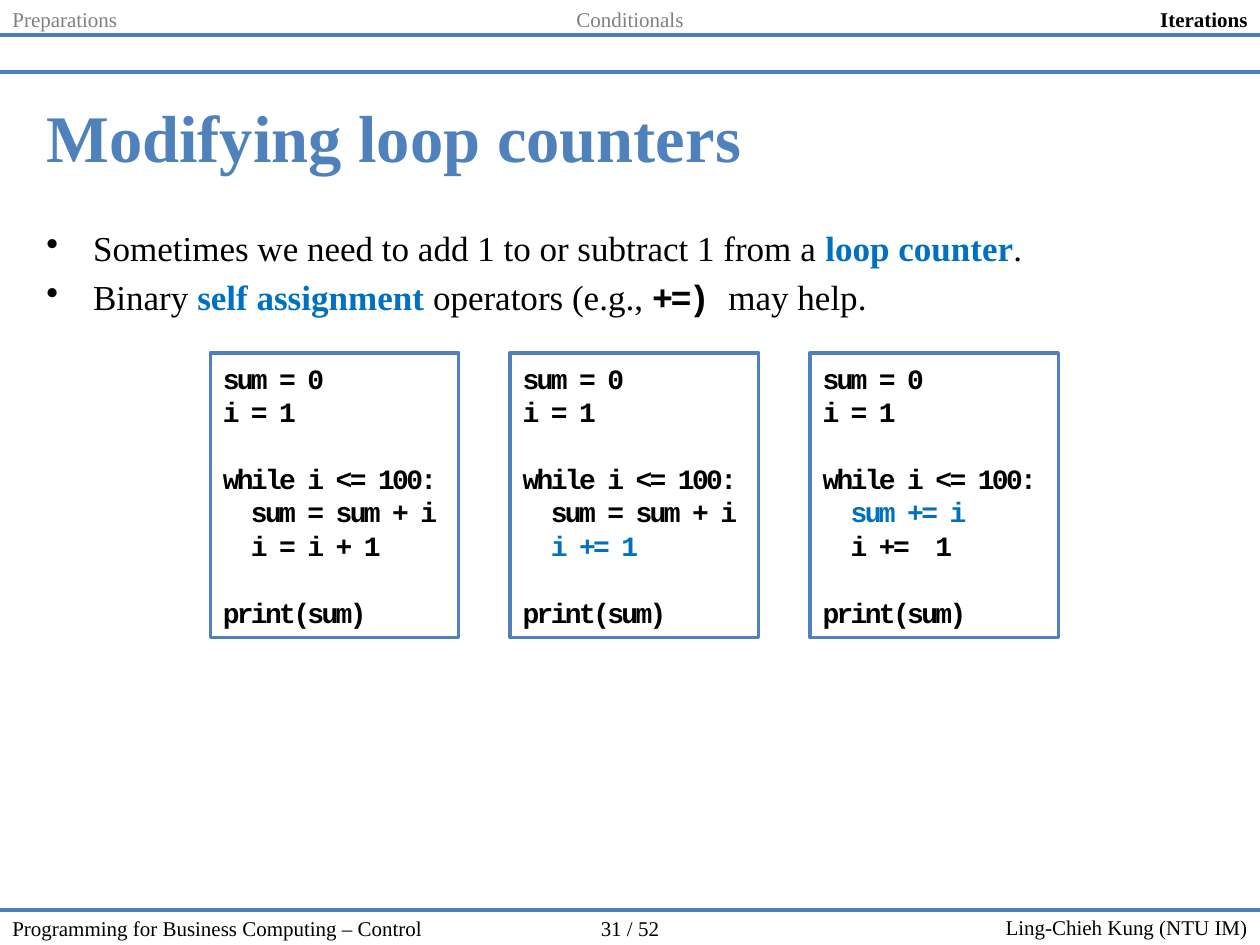
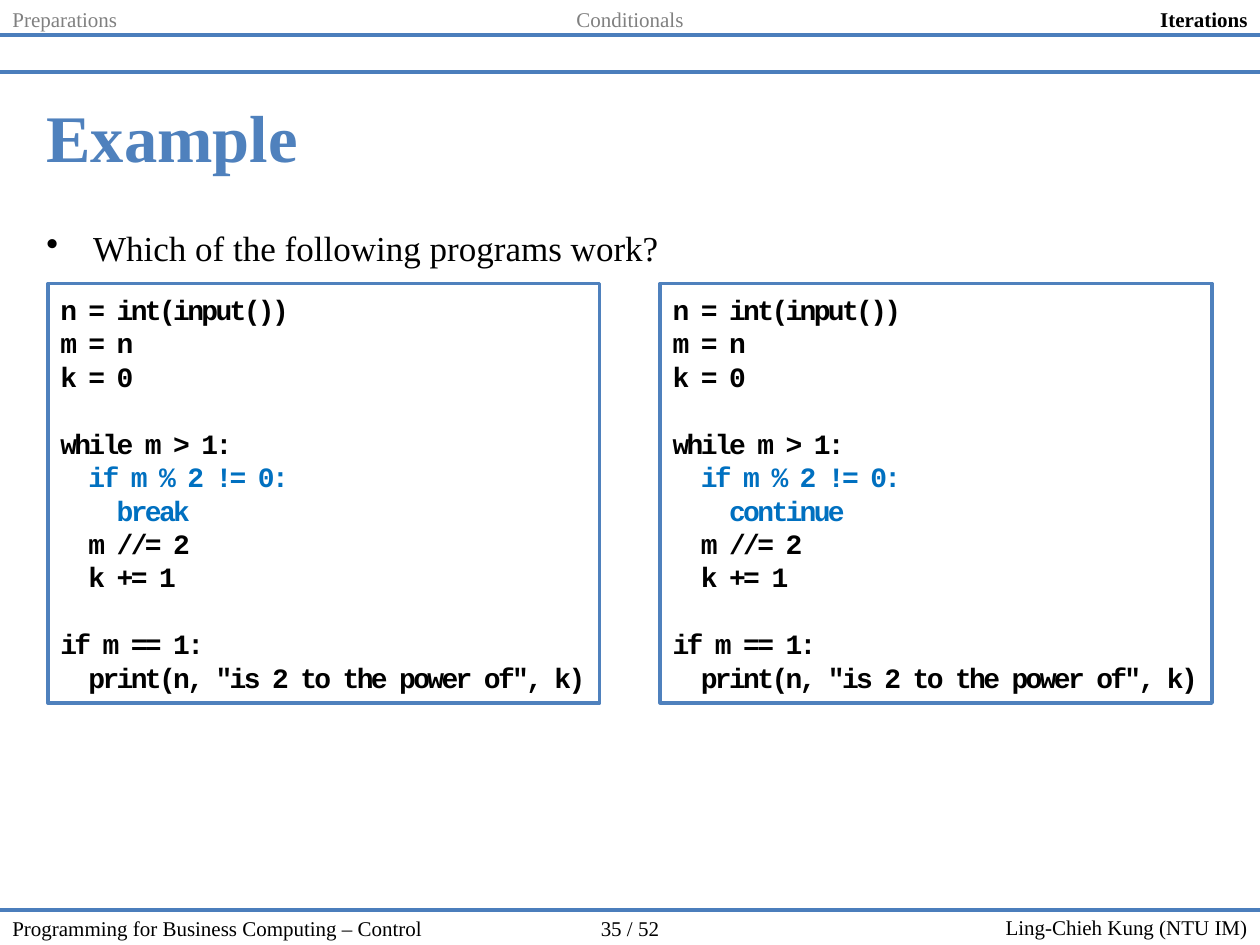
from pptx import Presentation
from pptx.dml.color import RGBColor
from pptx.enum.shapes import MSO_CONNECTOR, MSO_SHAPE
from pptx.enum.text import MSO_ANCHOR, PP_ALIGN
from pptx.oxml.xmlchemy import OxmlElement
from pptx.util import Inches, Pt

WIDTH, HEIGHT = 10, 7.5
SERIF, MONO = "Times New Roman", "Courier New"
BLACK, GRAY, WHITE = "000000", "808080", "FFFFFF"
TITLE_BLUE, RULE_BLUE, KEY_BLUE = "4F81BD", "4B7EBC", "0070C0"
BAND = 0.28
FOOTER_TOP = HEIGHT - BAND
CODE_LINE = 19.1
INDENT = 0.37
SECTIONS = ["Preparations", "Conditionals", "Iterations"]
COLUMN_ALIGNS = [PP_ALIGN.LEFT, PP_ALIGN.CENTER, PP_ALIGN.RIGHT]
KEY = {"color": KEY_BLUE, "bold": True}
CODE = {"font": MONO, "bold": True, "spacing": -1.5}


def rgb(color):
    return RGBColor.from_string(color)


def add_run(paragraph, text, size=12, font=SERIF, color=BLACK, bold=False, spacing=0):
    """Append a formatted run; spacing is the letter spacing in points."""
    run = paragraph.add_run()
    run.text = text
    run.font.size = Pt(size)
    run.font.name = font
    run.font.bold = bold
    run.font.color.rgb = rgb(color)
    if spacing:
        run._r.get_or_add_rPr().set("spc", str(int(spacing * 100)))


def add_text_box(slide, left, top, width, height, anchor=MSO_ANCHOR.TOP):
    """Add a wrapping text box and return its text frame."""
    box = slide.shapes.add_textbox(*map(Inches, (left, top, width, height)))
    frame = box.text_frame
    frame.word_wrap = True
    frame.vertical_anchor = anchor
    return frame


def add_label(slide, text, left, top, width, height=BAND, align=PP_ALIGN.LEFT,
              anchor=MSO_ANCHOR.TOP, **style):
    paragraph = add_text_box(slide, left, top, width, height, anchor).paragraphs[0]
    paragraph.alignment = align
    add_run(paragraph, text, **style)


def add_rule(slide, top):
    rule = slide.shapes.add_connector(
        MSO_CONNECTOR.STRAIGHT, 0, Inches(top), Inches(WIDTH), Inches(top))
    rule.line.color.rgb = rgb(RULE_BLUE)
    rule.line.width = Pt(2.25)
    rule._element.spPr.append(OxmlElement("a:effectLst"))


def add_header(slide, current):
    column = WIDTH / len(SECTIONS)
    for index, (section, align) in enumerate(zip(SECTIONS, COLUMN_ALIGNS)):
        active = section == current
        add_label(slide, section, index * column, 0, column, align=align,
                  color=BLACK if active else GRAY, bold=active)


def add_footer(slide, page):
    side, middle = 0.453 * WIDTH, 0.094 * WIDTH
    add_label(slide, "Programming for Business Computing – Control", 0, FOOTER_TOP, side)
    add_label(slide, f"{page} / 52", side, FOOTER_TOP, middle, align=PP_ALIGN.CENTER)
    add_label(slide, "Ling-Chieh Kung (NTU IM)", side + middle, FOOTER_TOP, side,
              align=PP_ALIGN.RIGHT, anchor=MSO_ANCHOR.MIDDLE)


def make_bullet(paragraph):
    properties = paragraph._p.get_or_add_pPr()
    properties.set("marL", str(Inches(INDENT)))
    properties.set("indent", str(-Inches(INDENT)))
    bullet = OxmlElement("a:buChar")
    bullet.set("char", "•")
    properties.append(bullet)


def add_bullets(slide, bullets):
    """Add the body; each bullet is a list of (text, style) runs."""
    frame = add_text_box(slide, 0.27, 1.75, 9.45, 4.36)
    for index, runs in enumerate(bullets):
        paragraph = frame.add_paragraph() if index else frame.paragraphs[0]
        make_bullet(paragraph)
        if index:
            paragraph.space_before = Pt(4)
        for text, style in runs:
            add_run(paragraph, text, size=20, **style)


def add_code_box(slide, code, key_lines, left, top, width, height):
    """Add a framed program; an empty code line becomes space before the next."""
    box = slide.shapes.add_shape(
        MSO_SHAPE.RECTANGLE, *map(Inches, (left, top, width, height)))
    box.shadow.inherit = False
    box.fill.solid()
    box.fill.fore_color.rgb = rgb(WHITE)
    box.line.color.rgb = rgb(TITLE_BLUE)
    box.line.width = Pt(2)
    frame = box.text_frame
    frame.word_wrap = False
    frame.vertical_anchor = MSO_ANCHOR.MIDDLE
    paragraph = frame.paragraphs[0]
    for index, block in enumerate(code.split("\n\n")):
        for row, line in enumerate(block.split("\n")):
            if index or row:
                paragraph = frame.add_paragraph()
            paragraph.alignment = PP_ALIGN.LEFT
            paragraph.line_spacing = Pt(CODE_LINE)
            if index and not row:
                paragraph.space_before = Pt(CODE_LINE)
            color = KEY_BLUE if line.strip() in key_lines else BLACK
            add_run(paragraph, line, size=16, color=color, **CODE)


def add_code_row(slide, programs, left, top, width, height, pitch):
    """Place (code, key lines) programs side by side, one every pitch inches."""
    for index, (code, key_lines) in enumerate(programs):
        add_code_box(slide, code, key_lines, left + index * pitch, top, width, height)


def add_content_slide(presentation, title, page, bullets):
    slide = presentation.slides.add_slide(presentation.slide_layouts[6])
    add_footer(slide, page)
    for top in (FOOTER_TOP, BAND, 0.57):
        add_rule(slide, top)
    add_label(slide, title, 0.27, 0.6, 9.53, 0.95, anchor=MSO_ANCHOR.MIDDLE,
              size=38, color=TITLE_BLUE, bold=True)
    add_bullets(slide, bullets)
    add_header(slide, "Iterations")
    return slide


def sum_program(*loop_body):
    body = "\n".join("  " + line for line in loop_body)
    return f"sum = 0\ni = 1\n\nwhile i <= 100:\n{body}\n\nprint(sum)"


def power_program(jump):
    return f"""n = int(input())
m = n
k = 0

while m > 1:
  if m % 2 != 0:
    {jump}
  m //= 2
  k += 1

if m == 1:
  print(n, "is 2 to the power of", k)"""


def main():
    presentation = Presentation()
    presentation.slide_width = Inches(WIDTH)
    presentation.slide_height = Inches(HEIGHT)

    counters = add_content_slide(presentation, "Modifying loop counters", 31, [
        [("Sometimes we need to add 1 to or subtract 1 from a ", {}),
         ("loop counter", KEY), (".", {})],
        [("Binary ", {}), ("self assignment ", KEY), ("operators (e.g., ", {}),
         ("+=) ", CODE), ("may help.", {})],
    ])
    add_code_row(counters, [
        (sum_program("sum = sum + i", "i = i + 1"), []),
        (sum_program("sum = sum + i", "i += 1"), ["i += 1"]),
        (sum_program("sum += i", "i +=  1"), ["sum += i"]),
    ], left=1.67, top=2.8, width=1.97, height=2.26, pitch=2.38)

    example = add_content_slide(presentation, "Example", 35, [
        [("Which of the following programs work?", {})],
    ])
    add_code_row(example, [
        (power_program(jump), ["if m % 2 != 0:", jump]) for jump in ("break", "continue")
    ], left=0.38, top=2.25, width=4.38, height=3.33, pitch=4.86)

    presentation.save("out.pptx")


if __name__ == "__main__":
    main()
